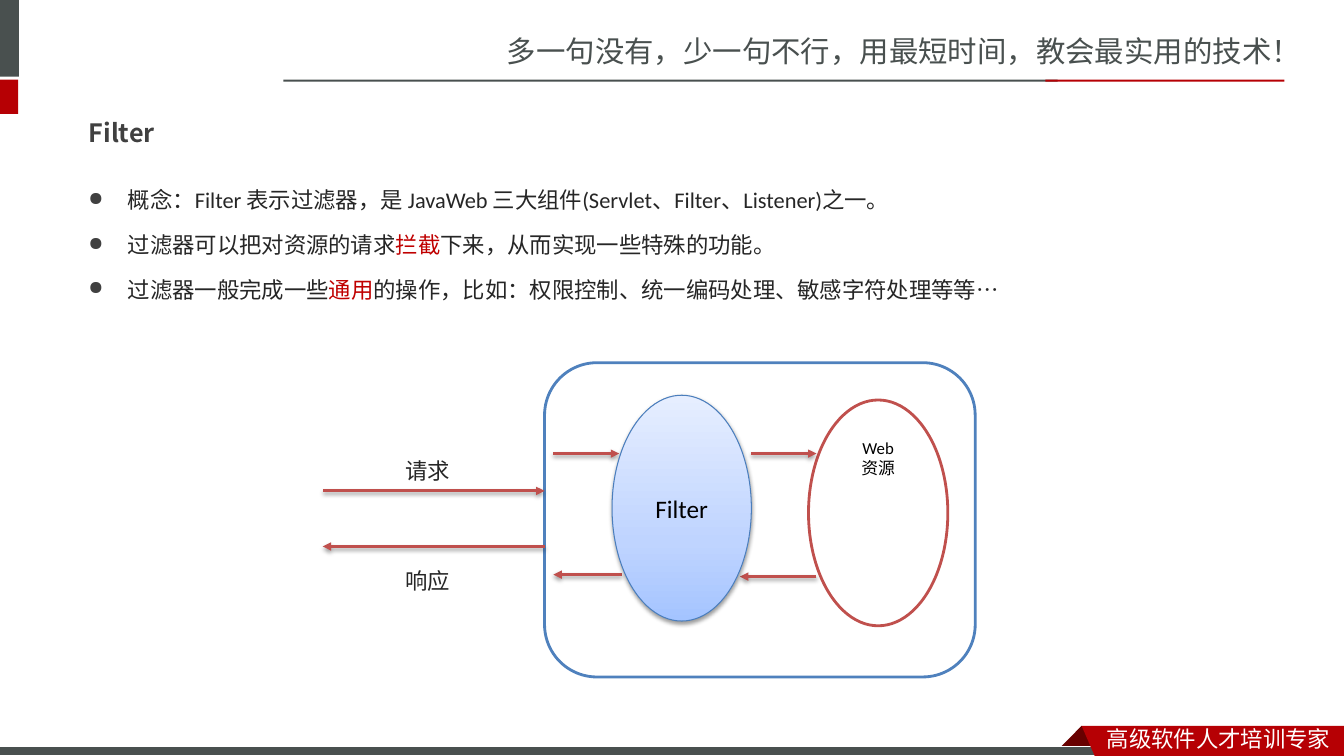
from copy import deepcopy
from dataclasses import dataclass

from lxml.etree import SubElement
from pptx import Presentation
from pptx.dml.color import RGBColor
from pptx.enum.shapes import MSO_CONNECTOR, MSO_SHAPE
from pptx.enum.text import MSO_ANCHOR, PP_ALIGN
from pptx.oxml import parse_xml
from pptx.oxml.ns import nsdecls, qn
from pptx.util import Cm, Pt


@dataclass(frozen=True)
class Theme:
    grey: str = "49504F"
    red: str = "B60004"
    dark_red: str = "680000"
    white: str = "FFFFFF"
    black: str = "000000"
    heading: str = "404040"
    body: str = "262626"
    accent: str = "C00000"
    arrow: str = "C0504D"
    server: str = "4F81BD"
    filter_edge: str = "4B7EBC"
    filter_stops: tuple = ((0, "A4C4FF"), (0.35, "BFD4FF"), (1, "E6EEFF"))
    latin: str = "Calibri"
    cjk: str = "Noto Sans CJK JP"
    brand: str = "Noto Sans CJK SC"
    slogan_size: float = 21
    title_size: float = 18
    body_size: float = 16
    small_size: float = 12
    line: float = 2
    thin_line: float = 0.75


def rgb(value):
    return RGBColor.from_string(value)


def add_shadow(shape):
    shape._element.spPr.append(parse_xml(
        f'<a:effectLst {nsdecls("a")}><a:outerShdw blurRad="39370" dist="20320" '
        'dir="5400000" rotWithShape="0"><a:srgbClr val="000000"><a:alpha val="38000"/>'
        '</a:srgbClr></a:outerShdw></a:effectLst>'))


class SlideBuilder:
    def __init__(self, slide, theme):
        self.slide, self.theme = slide, theme

    def run(self, paragraph, text, size, color, font, bold=False):
        run = paragraph.add_run()
        run.text = text
        run.font.size, run.font.bold, run.font.name = Pt(size), bold, font
        run.font.color.rgb = rgb(color)
        east_asian = self.theme.cjk if font == self.theme.latin else font
        SubElement(run._r.get_or_add_rPr(), qn("a:ea")).set("typeface", east_asian)

    def title(self, text, *box):
        title = self.slide.shapes.title
        title.left, title.top, title.width, title.height = map(Cm, box)
        title.text_frame.vertical_anchor = MSO_ANCHOR.MIDDLE
        paragraph = title.text_frame.paragraphs[0]
        paragraph.alignment = PP_ALIGN.LEFT
        self.run(paragraph, text, self.theme.title_size, self.theme.heading,
                 self.theme.cjk, bold=True)

    def text_frame(self, *box):
        frame = self.slide.shapes.add_textbox(*map(Cm, box)).text_frame
        frame.word_wrap = True
        return frame

    def text(self, text, box, size, color, font, spacing=1.0):
        paragraph = self.text_frame(*box).paragraphs[0]
        paragraph.line_spacing = spacing
        self.run(paragraph, text, size, color, font)

    def bullets(self, items, *box):
        """Each item is a list of (text, colour) runs."""
        frame = self.text_frame(*box)
        for index, item in enumerate(items):
            paragraph = frame.add_paragraph() if index else frame.paragraphs[0]
            paragraph.line_spacing = 1.5
            if index:
                paragraph.space_before = Pt(3.2)
            properties = paragraph._p.get_or_add_pPr()
            properties.set("marL", str(Cm(0.99)))
            properties.set("indent", str(-Cm(0.99)))
            color = SubElement(properties, qn("a:buClr"))
            SubElement(color, qn("a:srgbClr")).set("val", self.theme.heading)
            SubElement(properties, qn("a:buSzPct")).set("val", "85000")
            SubElement(properties, qn("a:buChar")).set("char", "●")
            for text, tone in item:
                self.run(paragraph, text, self.theme.body_size, tone, self.theme.latin)

    def paint(self, shape, fill, line, width):
        shape.shadow.inherit = False
        shape.fill.solid()
        shape.fill.fore_color.rgb = rgb(fill)
        if line:
            shape.line.color.rgb = rgb(line)
            shape.line.width = Pt(width)
        else:
            shape.line.fill.background()

    def shape(self, kind, box, fill, line=None, width=None):
        shape = self.slide.shapes.add_shape(kind, *map(Cm, box))
        self.paint(shape, fill, line, width or self.theme.line)
        return shape

    def outline(self, points, fill):
        start, *rest = [(Cm(x), Cm(y)) for x, y in points]
        builder = self.slide.shapes.build_freeform(*start)
        builder.add_line_segments(rest, close=True)
        self.paint(builder.convert_to_shape(), fill, None, None)

    def caption(self, shape, lines, size, anchor):
        frame = shape.text_frame
        frame.vertical_anchor = anchor
        for index, line in enumerate(lines):
            paragraph = frame.add_paragraph() if index else frame.paragraphs[0]
            paragraph.alignment = PP_ALIGN.CENTER
            self.run(paragraph, line, size, self.theme.black, self.theme.latin)

    def gradient(self, shape, stops):
        """Fill upwards through three (position, colour) stops."""
        shape.fill.gradient()
        shape.fill.gradient_angle = 90
        first = shape.fill._fill._gradFill.gsLst[0]
        first.addnext(deepcopy(first))
        for stop, (position, color) in zip(shape.fill.gradient_stops, stops):
            stop.position = position
            stop.color.rgb = rgb(color)

    def arrow(self, x1, y, x2):
        arrow = self.slide.shapes.add_connector(
            MSO_CONNECTOR.STRAIGHT, Cm(x1), Cm(y), Cm(x2), Cm(y))
        arrow.line.color.rgb = rgb(self.theme.arrow)
        arrow.line.width = Pt(self.theme.line)
        SubElement(arrow.line._get_or_add_ln(), qn("a:tailEnd")).set("type", "triangle")
        add_shadow(arrow)


def add_frame(page, theme):
    """Slogan, side bars, rules and the footer ribbon."""
    page.text("多一句没有，少一句不行，用最短时间，教会最实用的技术！",
              (12.52, 0.71, 21.34, 1.19), theme.slogan_size, theme.grey, theme.brand)
    for box, color in (((0, 0, 0.48, 1.93), theme.grey),
                       ((0, 2.01, 0.46, 0.86), theme.red),
                       ((7.14, 2.01, 19.51, 0.05), theme.grey),
                       ((26.34, 2.01, 6.02, 0.05), theme.red)):
        page.shape(MSO_SHAPE.RECTANGLE, box, color)
    page.outline([(27.25, 18.29), (27.81, 18.85), (27.79, 18.87),
                  (26.72, 18.87), (26.7, 18.85)], theme.dark_red)
    page.shape(MSO_SHAPE.RECTANGLE, (0, 18.82, 27.91, 0.23), theme.grey,
               theme.white, theme.thin_line)
    page.outline([(27.25, 18.29), (33.86, 18.29), (33.86, 19.05), (27.58, 19.05)],
                 theme.red)
    page.text("高级软件人才培训专家", (27.64, 18.16, 6.22, 0.88),
              theme.body_size, theme.white, theme.brand)


def add_diagram(page, theme):
    page.shape(MSO_SHAPE.ROUNDED_RECTANGLE, (13.72, 9.14, 10.85, 7.92),
               theme.white, theme.server)
    resource = page.shape(MSO_SHAPE.OVAL, (20.37, 10.08, 3.51, 5.69),
                          theme.white, theme.arrow)
    page.caption(resource, ["Web", "资源"], theme.small_size, MSO_ANCHOR.TOP)
    for label, top in (("请求", 11.05), ("响应", 13.84)):
        page.text(label, (9.96, top, 1.78, 1.22), theme.body_size, theme.body,
                  theme.cjk, 1.5)
    for x1, y, x2 in ((8.15, 12.37, 13.72), (13.72, 13.77, 8.13),
                      (13.94, 11.43, 15.6), (15.67, 14.48, 13.94),
                      (18.92, 11.43, 20.57), (20.57, 14.53, 18.64)):
        page.arrow(x1, y, x2)
    filter_node = page.shape(MSO_SHAPE.OVAL, (15.42, 9.96, 3.51, 5.69),
                             theme.white, theme.filter_edge, theme.thin_line)
    page.gradient(filter_node, theme.filter_stops)
    filter_node.shadow.inherit = True
    add_shadow(filter_node)
    page.caption(filter_node, ["Filter"], theme.title_size, MSO_ANCHOR.MIDDLE)


def main():
    presentation = Presentation()
    presentation.slide_width, presentation.slide_height = Cm(33.86), Cm(19.05)
    theme = Theme()
    page = SlideBuilder(presentation.slides.add_slide(presentation.slide_layouts[5]), theme)
    add_frame(page, theme)
    page.title("Filter", 1.98, 2.62, 29.85, 1.45)
    plain, accent = theme.body, theme.accent
    page.bullets([
        [("概念：Filter 表示过滤器，是 JavaWeb 三大组件(Servlet、Filter、Listener)之一。", plain)],
        [("过滤器可以把对资源的请求", plain), ("拦截", accent),
         ("下来，从而实现一些特殊的功能。", plain)],
        [("过滤器一般完成一些", plain), ("通用", accent),
         ("的操作，比如：权限控制、统一编码处理、敏感字符处理等等…", plain)],
    ], 1.98, 4.24, 29.01, 4.11)
    add_diagram(page, theme)
    presentation.save("out.pptx")


if __name__ == "__main__":
    main()
